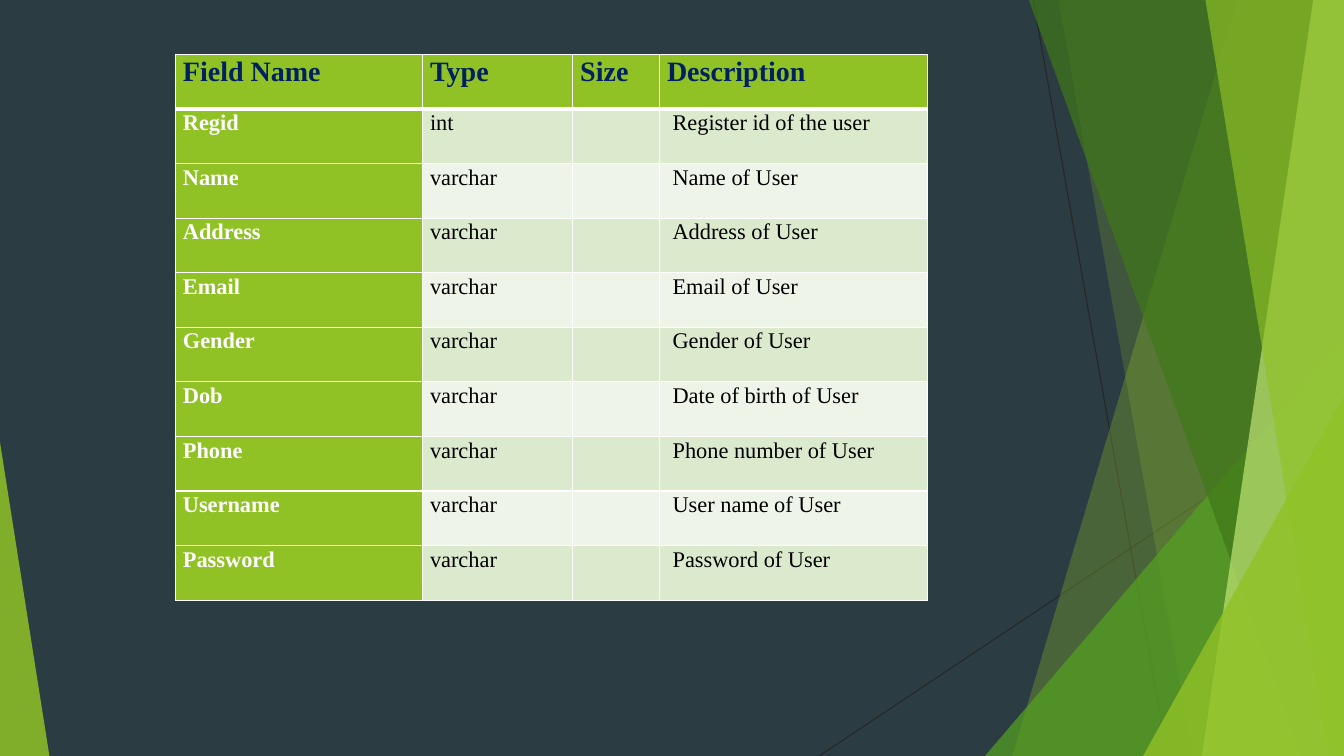
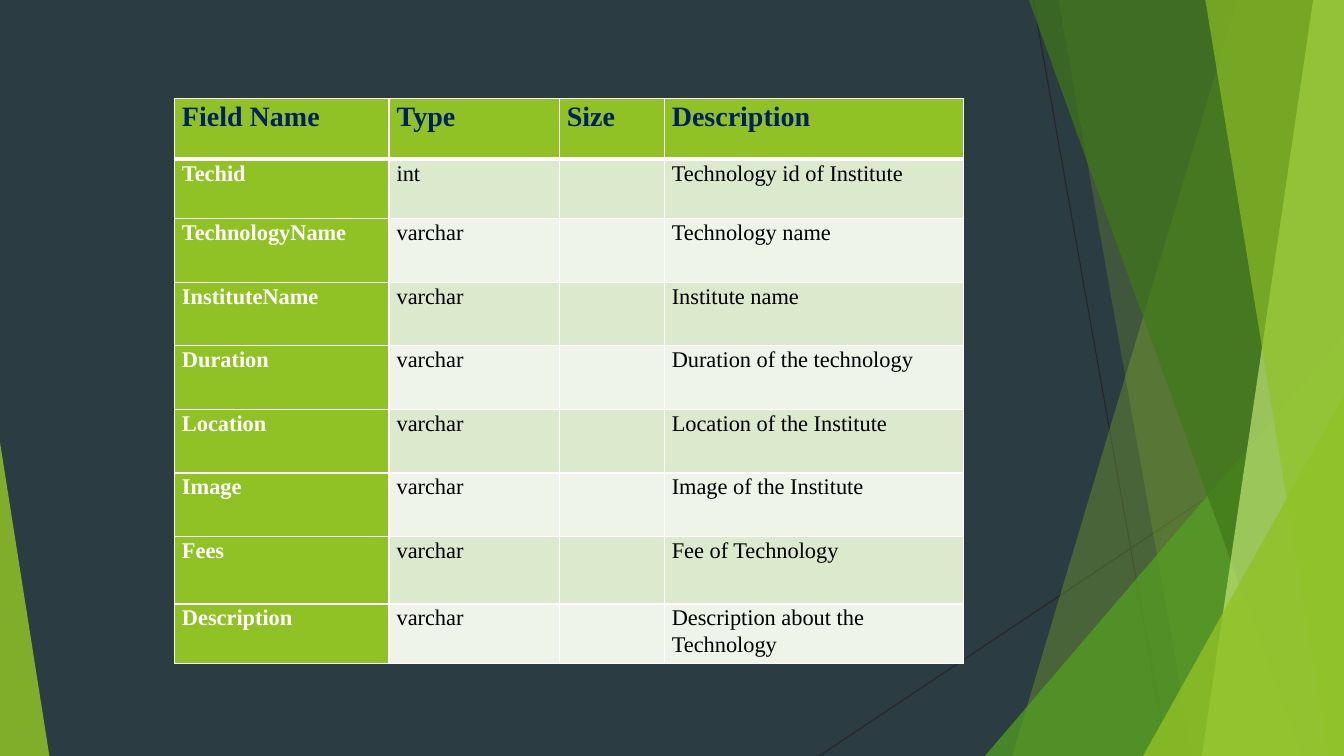
from lxml.etree import SubElement
from pptx import Presentation
from pptx.dml.color import RGBColor
from pptx.enum.shapes import MSO_CONNECTOR, MSO_SHAPE
from pptx.oxml.ns import qn
from pptx.util import Pt

WIDTH, HEIGHT = 960, 540
FONT = "Times New Roman"
NIGHT, NAVY, INK, WHITE = "2C3C43", "002060", "000000", "FFFFFF"
LIME, GREEN, FOREST, PALE_LIME = "90C226", "54A021", "3F7819", "C0E474"
BANDS = ["DBE9CD", "EEF4E8"]

HEADER_FONT = {"name": FONT, "size": Pt(20), "bold": True}
FIELD_FONT = {"name": FONT, "size": Pt(16), "bold": True}
BODY_FONT = {"name": FONT, "size": Pt(16), "bold": False}
CELL_MARGINS = {"margin_left": Pt(5.4), "margin_right": Pt(5.4),
                "margin_top": 0, "margin_bottom": 0}

RAYS = [((738, 0), (834, HEIGHT)), ((WIDTH, 290), (585, HEIGHT))]
# Each facet runs from the right edge to a slanted side: top x, bottom x, colour, opacity.
BACK_FACETS = [(884, 723, LIME, 30), (756, 852, LIME, 20)]
FRONT_FACETS = [(735, 929.5, FOREST, 70), (938, 858.5, PALE_LIME, 70),
                (861, 949, LIME, 65)]

HEADINGS = ["Field Name", "Type", "Size", "Description"]
USER_FIELDS = [
    ("Regid", "int", "Register id of the user"),
    ("Name", "varchar", "Name of User"),
    ("Address", "varchar", "Address of User"),
    ("Email", "varchar", "Email of User"),
    ("Gender", "varchar", "Gender of User"),
    ("Dob", "varchar", "Date of birth of User"),
    ("Phone", "varchar", "Phone number of User"),
    ("Username", "varchar", "User name of User"),
    ("Password", "varchar", "Password of User"),
]
TECHNOLOGY_FIELDS = [
    ("Techid", "int", "Technology id of Institute"),
    ("TechnologyName", "varchar", "Technology name"),
    ("InstituteName", "varchar", "Institute name"),
    ("Duration", "varchar", "Duration of the technology"),
    ("Location", "varchar", "Location of the Institute"),
    ("Image", "varchar", "Image of the Institute"),
    ("Fees", "varchar", "Fee of Technology"),
    ("Description", "varchar", "Description about the Technology"),
]


def paint(color_format, color):
    color_format.rgb = RGBColor.from_string(color)


def set_format(target, values):
    for name, value in values.items():
        setattr(target, name, value)


class Deck:
    """Holds the presentation, its style and the current slide."""

    def __init__(self):
        self.presentation = Presentation()
        set_format(self.presentation, {"slide_width": Pt(WIDTH), "slide_height": Pt(HEIGHT)})
        backdrop = self.presentation.slide_master.background.fill
        backdrop.solid()
        paint(backdrop.fore_color, NIGHT)

    def add_slide(self):
        self.slide = self.presentation.slides.add_slide(self.presentation.slide_layouts[6])
        for start, end in RAYS:
            self.ray(start, end)
        for facet in BACK_FACETS:
            self.facet(*facet)
        self.corner(703.5, 240, WIDTH - 703.5, 1, GREEN, 72)
        for facet in FRONT_FACETS:
            self.facet(*facet)
        self.corner(816.5, 283, WIDTH - 816.5, 1, LIME, 80)
        self.corner(0, 316, 35.3, 0, LIME, 85)

    def ray(self, start, end):
        ray = self.slide.shapes.add_connector(
            MSO_CONNECTOR.STRAIGHT, *(Pt(value) for value in start + end))
        ray.line.width = Pt(0.75)
        paint(ray.line.color, "262626")
        SubElement(ray._element.spPr, qn("a:effectLst"))

    def facet(self, top_x, bottom_x, color, opacity):
        outline = self.slide.shapes.build_freeform(Pt(top_x), 0)
        outline.add_line_segments(
            [(Pt(WIDTH), 0), (Pt(WIDTH), Pt(HEIGHT)), (Pt(bottom_x), Pt(HEIGHT))])
        self.tint(outline.convert_to_shape(), color, opacity)

    def corner(self, left, top, width, apex, color, opacity):
        """Triangle standing on the bottom edge, apex 0 at left and 1 at right."""
        corner = self.slide.shapes.add_shape(
            MSO_SHAPE.ISOSCELES_TRIANGLE, Pt(left), Pt(top), Pt(width), Pt(HEIGHT - top))
        corner.adjustments[0] = apex
        self.tint(corner, color, opacity)

    def tint(self, shape, color, opacity):
        shape.shadow.inherit = False
        shape.line.fill.background()
        shape.fill.solid()
        paint(shape.fill.fore_color, color)
        tone = shape._element.spPr.find(qn("a:solidFill")).find(qn("a:srgbClr"))
        SubElement(tone, qn("a:alpha"), val=str(opacity * 1000))

    def field_table(self, left, top, widths, heights, fields, note_indent=0):
        frame = self.slide.shapes.add_table(
            len(heights), len(widths), Pt(left), Pt(top), Pt(sum(widths)), Pt(sum(heights)))
        table = frame.table
        set_format(table, {"first_row": False, "horz_banding": False})
        for column, width in zip(table.columns, widths):
            column.width = Pt(width)
        for row, height in zip(table.rows, heights):
            row.height = Pt(height)

        for column, heading in enumerate(HEADINGS):
            self.cell(table.cell(0, column), heading, HEADER_FONT, NAVY, LIME, below=3)
        for row, (field, kind, note) in enumerate(fields, 1):
            band = BANDS[(row - 1) % 2]
            above = 3 if row == 1 else 1
            self.cell(table.cell(row, 0), field, FIELD_FONT, WHITE, LIME, above)
            for column, text in enumerate([kind, "", note], 1):
                self.cell(table.cell(row, column), text, BODY_FONT, INK, band, above)
            table.cell(row, 3).margin_left = Pt(5.4 + note_indent)

    def cell(self, cell, text, font, ink, fill, above=1, below=1):
        set_format(cell, CELL_MARGINS)
        paragraph = cell.text_frame.paragraphs[0]
        paragraph.line_spacing = 1.07
        if text:
            run = paragraph.add_run()
            run.text = text
            set_format(run.font, font)
            paint(run.font.color, ink)
        properties = cell._tc.get_or_add_tcPr()
        for side, weight in {"L": 1, "R": 1, "T": above, "B": below}.items():
            border = SubElement(properties, qn(f"a:ln{side}"), w=str(Pt(weight)))
            SubElement(SubElement(border, qn("a:solidFill")), qn("a:srgbClr"), val=WHITE)
        cell.fill.solid()
        paint(cell.fill.fore_color, fill)


def main():
    deck = Deck()
    deck.add_slide()
    deck.field_table(125.3, 38.9, [176.5, 107.3, 62, 191.5], [39] * 10,
                     USER_FIELDS, note_indent=4)
    deck.add_slide()
    deck.field_table(124.6, 70.6, [153.3, 121.6, 75, 214],
                     [43.2, 42.5, *[45.4] * 5, 48.2, 42.5], TECHNOLOGY_FIELDS)
    deck.presentation.save("out.pptx")


if __name__ == "__main__":
    main()
